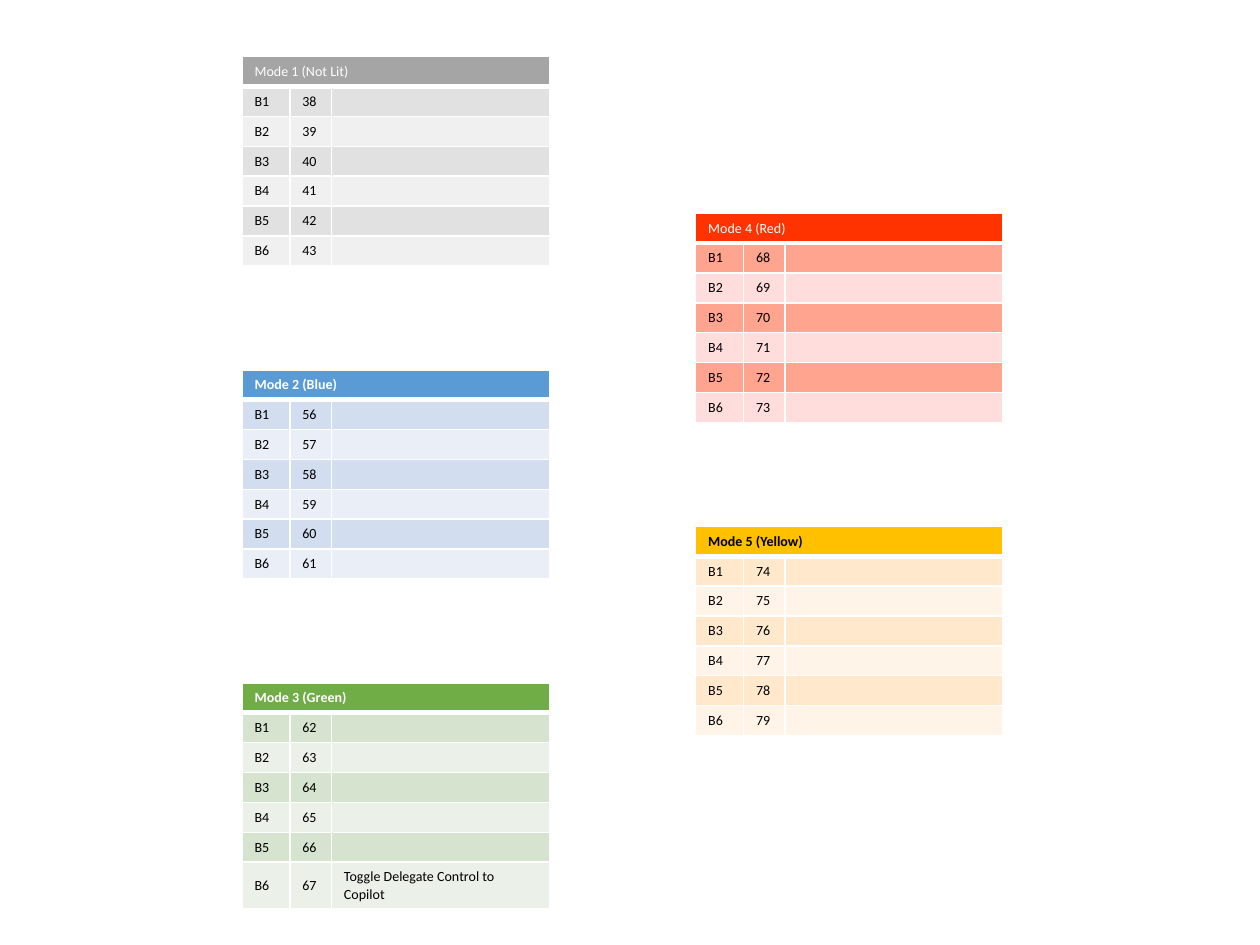
from lxml import etree
from pptx import Presentation, util as u
from pptx.dml.color import RGBColor
from pptx.enum import text
from pptx.oxml.ns import qn

# title, bold title, title colour, header fill, band fills, first number, column, row step
MODES = [
    ("Mode 1 (Not Lit)", False, "FFFFFF", "A5A5A5", ("E1E1E1", "F0F0F0"), 38, 0, 0),
    ("Mode 2 (Blue)", True, "FFFFFF", "5B9BD5", ("D2DEEF", "EAEFF7"), 56, 0, 2),
    ("Mode 3 (Green)", True, "FFFFFF", "70AD47", ("D5E3CF", "EBF1E9"), 62, 0, 4),
    ("Mode 4 (Red)", False, "FFFFFF", "FF3300", ("FFA48F", "FFDDDD"), 68, 1, 1),
    ("Mode 5 (Yellow)", True, "000000", "FFC000", ("FFE8CC", "FFF4E7"), 74, 1, 3),
]
ACTIONS = {67: "Toggle Delegate Control to Copilot"}
BUTTONS = 6

LEFT, TOP = 1.92, 0.45
COLUMN_STEP, ROW_STEP = 3.6, 1.2425
WIDTHS = (0.38, 0.33, 1.73)
ROW_HEIGHT = 1.63 / (BUTTONS + 1)
TALL_ROW = 0.37
FONT, SIZE = "Calibri", 8


def rgb(value):
    return RGBColor.from_string(value)


def set_borders(cell, bottom):
    tc_pr = cell._tc.get_or_add_tcPr()
    for side, width in (("L", 1), ("R", 1), ("T", 1), ("B", bottom)):
        line = etree.SubElement(tc_pr, qn(f"a:ln{side}"), w=str(u.Pt(width)))
        fill = etree.SubElement(line, qn("a:solidFill"))
        etree.SubElement(fill, qn("a:srgbClr"), val="FFFFFF")


def style_cell(cell, words, fill, color="000000", bold=False, bottom=1):
    set_borders(cell, bottom)
    cell.fill.solid()
    cell.fill.fore_color.rgb = rgb(fill)
    p = cell.text_frame.paragraphs[0]
    if words:
        r = p.add_run()
        r.text = words
        r.font.name, r.font.size, r.font.bold = FONT, u.Pt(SIZE), bold
        r.font.color.rgb = rgb(color)
    else:  # keeps an empty cell from growing its row
        etree.SubElement(p._p, qn("a:endParaRPr"), sz=str(SIZE * 100))


def add_mode(s, title, bold, color, header, bands, first, column, step):
    frame = s.shapes.add_table(
        BUTTONS + 1, len(WIDTHS),
        u.Inches(LEFT + column * COLUMN_STEP), u.Inches(TOP + step * ROW_STEP),
        u.Inches(sum(WIDTHS)), u.Inches(ROW_HEIGHT * (BUTTONS + 1)))
    table = frame.table
    for col, width in zip(table.columns, WIDTHS):
        col.width = u.Inches(width)
    for row in table.rows:
        row.height = u.Inches(ROW_HEIGHT)

    table.cell(0, 0).merge(table.cell(0, len(WIDTHS) - 1))
    for c in range(len(WIDTHS)):
        style_cell(table.cell(0, c), "" if c else title, header, color, bold, bottom=3)

    for i in range(BUTTONS):
        number = first + i
        action = ACTIONS.get(number, "")
        if action:
            table.rows[i + 1].height = u.Inches(TALL_ROW)
        for c, words in enumerate((f"B{i + 1}", str(number), action)):
            cell = table.cell(i + 1, c)
            style_cell(cell, words, bands[i % 2])
            cell.vertical_anchor = text.MSO_ANCHOR.MIDDLE


def main():
    prs = Presentation()
    prs.slide_width, prs.slide_height = u.Inches(10), u.Inches(7.5)
    s = prs.slides.add_slide(prs.slide_layouts[6])
    for mode in MODES:
        add_mode(s, *mode)
    prs.save("out.pptx")


if __name__ == "__main__":
    main()
